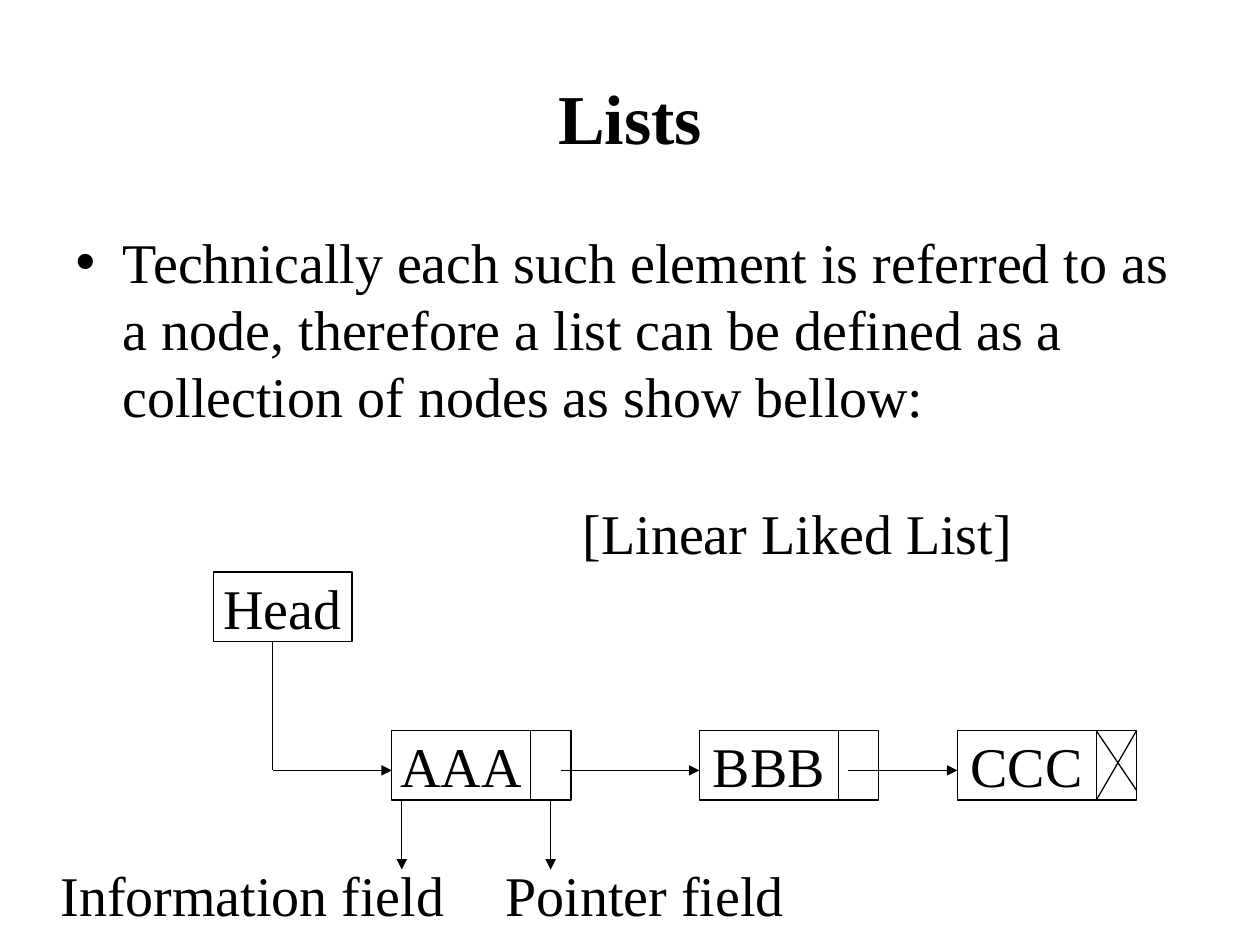
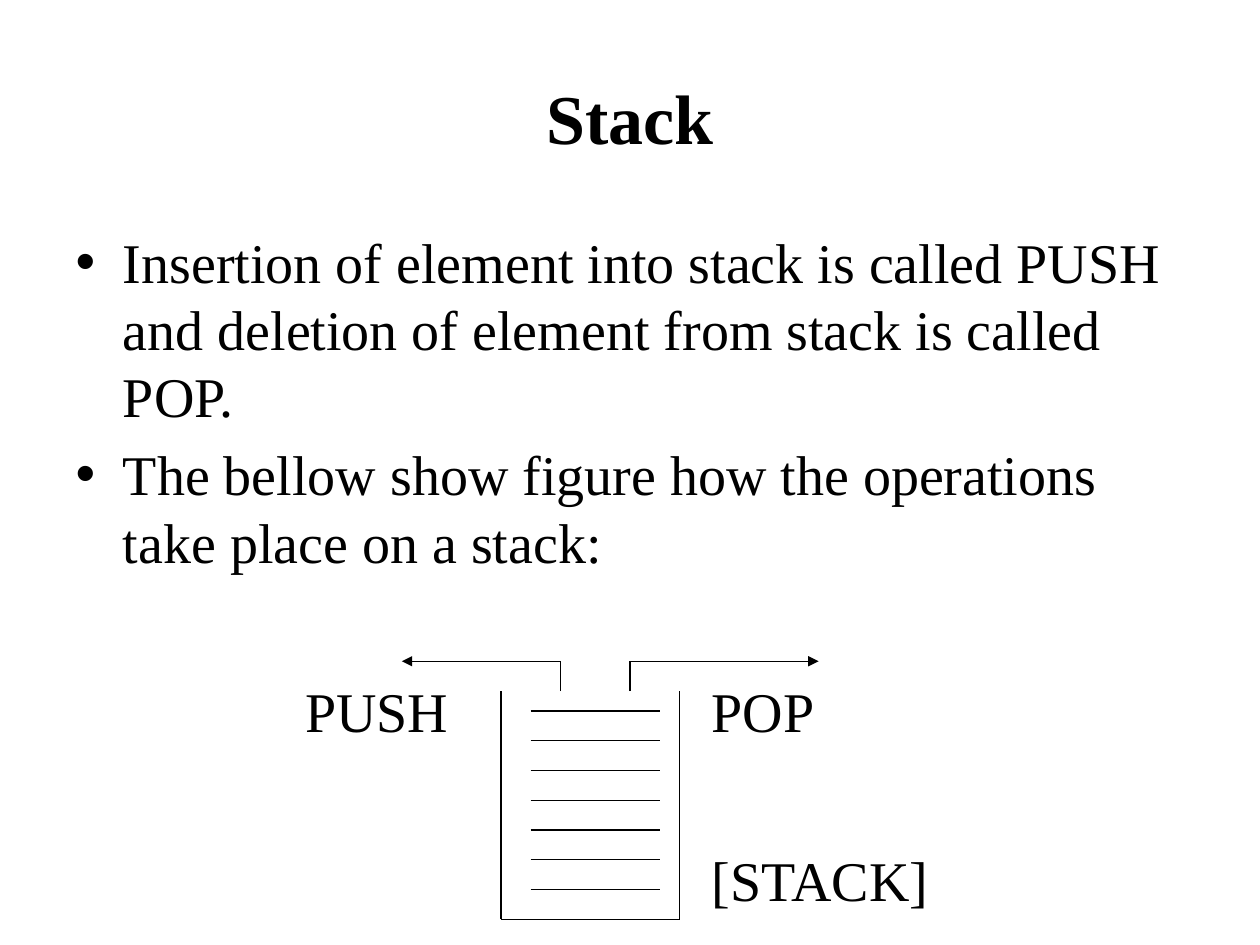
import pptx
import pptx.util
import pptx.dml.color
import pptx.enum.shapes
import pptx.enum.text
import pptx.oxml
import pptx.oxml.ns

Cm = pptx.util.Cm
align = pptx.enum.text.PP_ALIGN
anchor = pptx.enum.text.MSO_ANCHOR
tint = {
    name: pptx.dml.color.RGBColor.from_string(code)
    for name, code in {"ink": "000000", "paper": "FFFFFF"}.items()
}
plain = {"name": "Times New Roman", "size": pptx.util.Pt(32), "bold": False}
head = {**plain, "size": pptx.util.Pt(40), "bold": True}
thin = pptx.util.Pt(0.75)


def write(frame, lines, font=plain, side=align.LEFT, **look):
    look = {"word_wrap": True, "vertical_anchor": anchor.TOP,
            "auto_size": pptx.enum.text.MSO_AUTO_SIZE.NONE, **look}
    for key, value in look.items():
        setattr(frame, key, value)
    frame.text = "\n".join(lines)
    for par in frame.paragraphs:
        par.alignment = side
        for run in par.runs:
            for key, value in font.items():
                setattr(run.font, key, value)
            run.font.color.rgb = tint["ink"]


def draw(page, *points, arrow=False):
    for start, end in zip(points, points[1:]):
        link = page.shapes.add_connector(
            pptx.enum.shapes.MSO_CONNECTOR.STRAIGHT,
            *[Cm(value) for value in start + end])
        link.line.width = thin
        link.line.color.rgb = tint["ink"]
        props = link._element.spPr
        pptx.oxml.ns.qn("a:ln")
        props.append(pptx.oxml.parse_xml(
            f"<a:effectLst {pptx.oxml.ns.nsdecls('a')}/>"))
        if arrow and end == points[-1]:
            props.find(pptx.oxml.ns.qn("a:ln")).append(pptx.oxml.parse_xml(
                f"<a:tailEnd {pptx.oxml.ns.nsdecls('a')} type='triangle'/>"))


deck = pptx.Presentation()
deck.slide_width = Cm(25.4)
deck.slide_height = Cm(19.05)

topics = {
    "Lists": [
        "Technically each such element is referred to as a node, therefore "
        "a list can be defined as a collection of nodes as show bellow:",
    ],
    "Stack": [
        "Insertion of element into stack is called PUSH and deletion of "
        "element from stack is called POP.",
        "The bellow show figure how the operations take place on a stack:",
    ],
}
pages = []
for topic, points in topics.items():
    page = deck.slides.add_slide(deck.slide_layouts[1])
    page.background.fill.solid()
    page.background.fill.fore_color.rgb = tint["paper"]
    title, body = page.placeholders
    for holder, top, height in ((title, 0.76, 3.18), (body, 4.45, 12.57)):
        place = {"left": 1.27, "top": top, "width": 22.86, "height": height}
        for key, value in place.items():
            setattr(holder, key, Cm(value))
    write(title.text_frame, [topic], head, align.CENTER,
          vertical_anchor=anchor.MIDDLE)
    write(body.text_frame, points)
    pages.append(page)
chain, stack = pages

row, base, mid, tip = 14.73, 16.13, 15.53, 17.53
wide, slim, tall = 2.8, 0.81, 1.4
nodes = {"AAA": 7.9, "BBB": 14.1, "CCC": 19.3}
boxes = [("Head", 4.3, 11.53, wide, tall, "ink")]
for name, left in nodes.items():
    boxes.append((name, left, row, wide, tall, "ink"))
    boxes.append(("", left + wide, row, slim, tall, "ink"))
boxes.append(("Information field", 1.5, tip, 7.19, 1, "paper"))
boxes.append(("Pointer field", 10.1, tip, 5.8, 1, "paper"))

for text, left, top, width, height, edge in boxes:
    box = chain.shapes.add_shape(
        pptx.enum.shapes.MSO_SHAPE.RECTANGLE,
        Cm(left), Cm(top), Cm(width), Cm(height))
    box.shadow.inherit = False
    box.fill.solid()
    box.fill.fore_color.rgb = tint["paper"]
    box.line.color.rgb = tint[edge]
    box.line.width = thin
    if text:
        write(box.text_frame, [text], side=align.CENTER, word_wrap=False,
              vertical_anchor=anchor.MIDDLE)

cell = nodes["CCC"] + wide
draw(chain, (cell, row), (cell + slim, 15.93))
draw(chain, (cell + slim, row), (cell, base))
draw(chain, (5.5, 12.93), (5.5, mid), (nodes["AAA"], mid), arrow=True)
draw(chain, (11.3, mid), (nodes["BBB"], mid), arrow=True)
draw(chain, (17.1, mid), (nodes["CCC"], mid), arrow=True)
for left in (8.1, 11.1):
    draw(chain, (left, base), (left, tip), arrow=True)

rim, floor, turn = 13.93, 18.53, 13.33
draw(stack, (10.1, rim), (10.1, floor), (13.7, floor), (13.7, rim))
for step in range(7):
    level = rim + 0.4 + 0.6 * step
    draw(stack, (10.7, level), (13.3, level))
for start, end in ((11.3, 8.1), (12.7, 16.5)):
    draw(stack, (start, rim), (start, turn), (end, turn), arrow=True)

labels = [
    (chain, "[Linear Liked List]", 11.5, 9.93, 10),
    (stack, "PUSH", 5.9, 13.52, 4),
    (stack, "POP", 14.1, 13.52, 3.4),
    (stack, "[STACK]", 14.1, 16.92, 6.4),
]
for page, text, left, top, width in labels:
    label = page.shapes.add_textbox(Cm(left), Cm(top), Cm(width), Cm(1.6))
    write(label.text_frame, [text],
          auto_size=pptx.enum.text.MSO_AUTO_SIZE.SHAPE_TO_FIT_TEXT)

deck.save("out.pptx")
